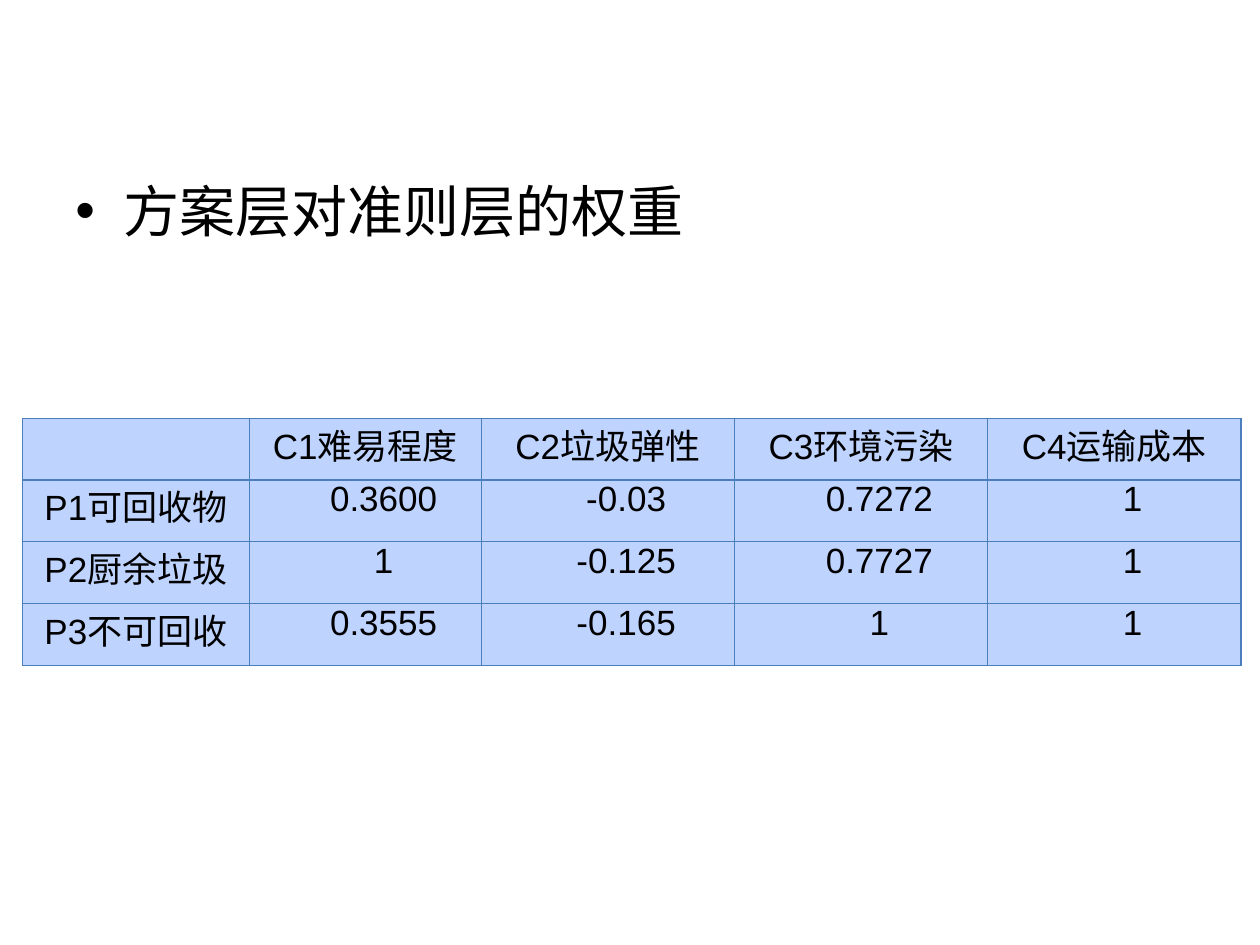
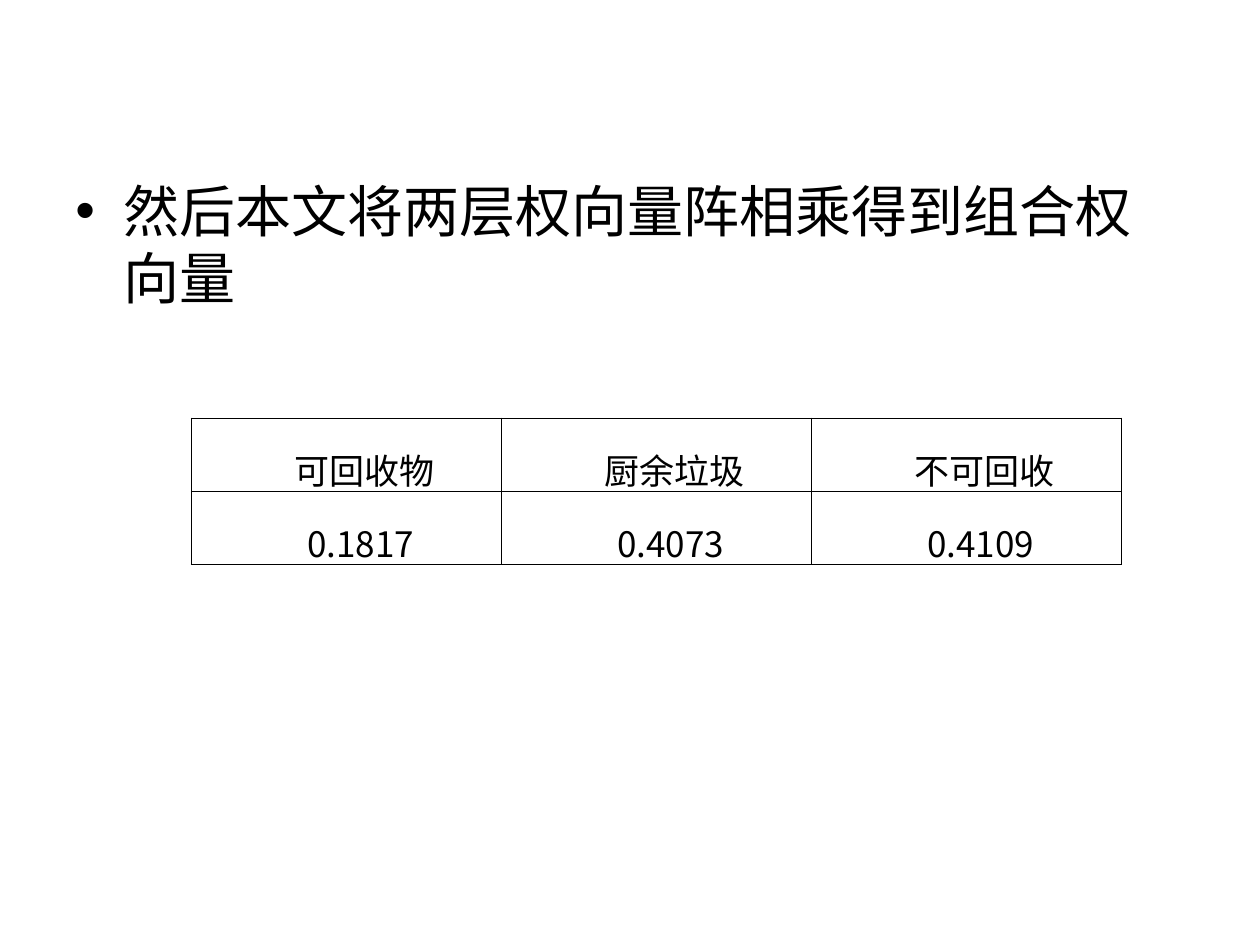
from lxml import etree
from pptx import Presentation
from pptx.dml.color import RGBColor
from pptx.enum.text import MSO_ANCHOR, PP_ALIGN
from pptx.oxml.ns import qn
from pptx.util import Inches, Pt

CENTER = PP_ALIGN.CENTER
TOP, MIDDLE = MSO_ANCHOR.TOP, MSO_ANCHOR.MIDDLE
COLORS = {"text": "000000", "cell": "BFD3FF", "blue_line": "4B7EBC", "black_line": "000000"}
CJK = "Noto Sans CJK SC"
VALUE_INDENT = 0.29

SLIDES = [
    {
        "heading": "方案层对准则层的权重",
        "left": 0.18,
        "columns": [1.8, 1.84, 2.01, 2.01, 2.01],
        "row_height": 0.49,
        "fill": COLORS["cell"],
        "border": (COLORS["blue_line"], 0.75),
        "row_fonts": ["Arial"] * 4,
        "row_anchors": [TOP] * 4,
        "labelled": True,
        "line_spacing": 1.0,
        "rows": [
            ["", "C1难易程度", "C2垃圾弹性", "C3环境污染", "C4运输成本"],
            ["P1可回收物", "0.3600", "-0.03", "0.7272", "1"],
            ["P2厨余垃圾", "1", "-0.125", "0.7727", "1"],
            ["P3不可回收", "0.3555", "-0.165", "1", "1"],
        ],
    },
    {
        "heading": "然后本文将两层权向量阵相乘得到组合权向量",
        "left": 1.52,
        "columns": [2.46] * 3,
        "row_height": 0.58,
        "fill": None,
        "border": (COLORS["black_line"], 1),
        "row_fonts": ["Times New Roman", CJK],
        "row_anchors": [TOP, MIDDLE],
        "labelled": False,
        "line_spacing": 1.5,
        "rows": [
            ["可回收物", "厨余垃圾", "不可回收"],
            ["0.1817 ", "0.4073 ", "0.4109 "],
        ],
    },
]


def add_run(paragraph, text, size, font_name):
    run = paragraph.add_run()
    run.text = text
    run.font.size = Pt(size)
    run.font.name = font_name
    run.font.color.rgb = RGBColor.from_string(COLORS["text"])


def set_borders(cell, color, width):
    properties = cell._tc.get_or_add_tcPr()
    for position, side in enumerate(("a:lnL", "a:lnR", "a:lnT", "a:lnB")):
        line = etree.Element(qn(side), w=str(Pt(width)))
        fill = etree.SubElement(line, qn("a:solidFill"))
        etree.SubElement(fill, qn("a:srgbClr"), val=color)
        properties.insert(position, line)


presentation = Presentation()
presentation.slide_width = Inches(10)
presentation.slide_height = Inches(7.5)

for content in SLIDES:
    slide = presentation.slides.add_slide(presentation.slide_layouts[6])

    body = slide.shapes.add_textbox(Inches(0.5), Inches(1.35), Inches(9), Inches(5.35))
    body.text_frame.word_wrap = True
    paragraph = body.text_frame.paragraphs[0]
    paragraph_properties = paragraph._p.get_or_add_pPr()
    paragraph_properties.set("marL", str(Inches(0.38)))
    paragraph_properties.set("indent", str(Inches(-0.38)))
    etree.SubElement(paragraph_properties, qn("a:buFont"), typeface="Arial")
    etree.SubElement(paragraph_properties, qn("a:buChar"), char="•")
    add_run(paragraph, content["heading"], 32, CJK)

    rows, columns = content["rows"], content["columns"]
    table = slide.shapes.add_table(
        len(rows), len(columns), Inches(content["left"]), Inches(3.32),
        Inches(sum(columns)), Inches(content["row_height"] * len(rows)),
    ).table
    for column, width in zip(table.columns, columns):
        column.width = Inches(width)

    for row_index, values in enumerate(rows):
        for column_index, value in enumerate(values):
            cell = table.cell(row_index, column_index)
            cell.margin_left = cell.margin_right = Inches(0.07)
            cell.margin_top = cell.margin_bottom = 0
            cell.vertical_anchor = content["row_anchors"][row_index]
            if content["fill"]:
                cell.fill.solid()
                cell.fill.fore_color.rgb = RGBColor.from_string(content["fill"])
            else:
                cell.fill.background()
            set_borders(cell, *content["border"])

            paragraph = cell.text_frame.paragraphs[0]
            paragraph.alignment = CENTER
            paragraph.line_spacing = content["line_spacing"]
            is_label = content["labelled"] and 0 in (row_index, column_index)
            if not is_label:
                paragraph._p.get_or_add_pPr().set("indent", str(Inches(VALUE_INDENT)))
            if value:
                add_run(paragraph, value, 20, content["row_fonts"][row_index])

presentation.save("out.pptx")
